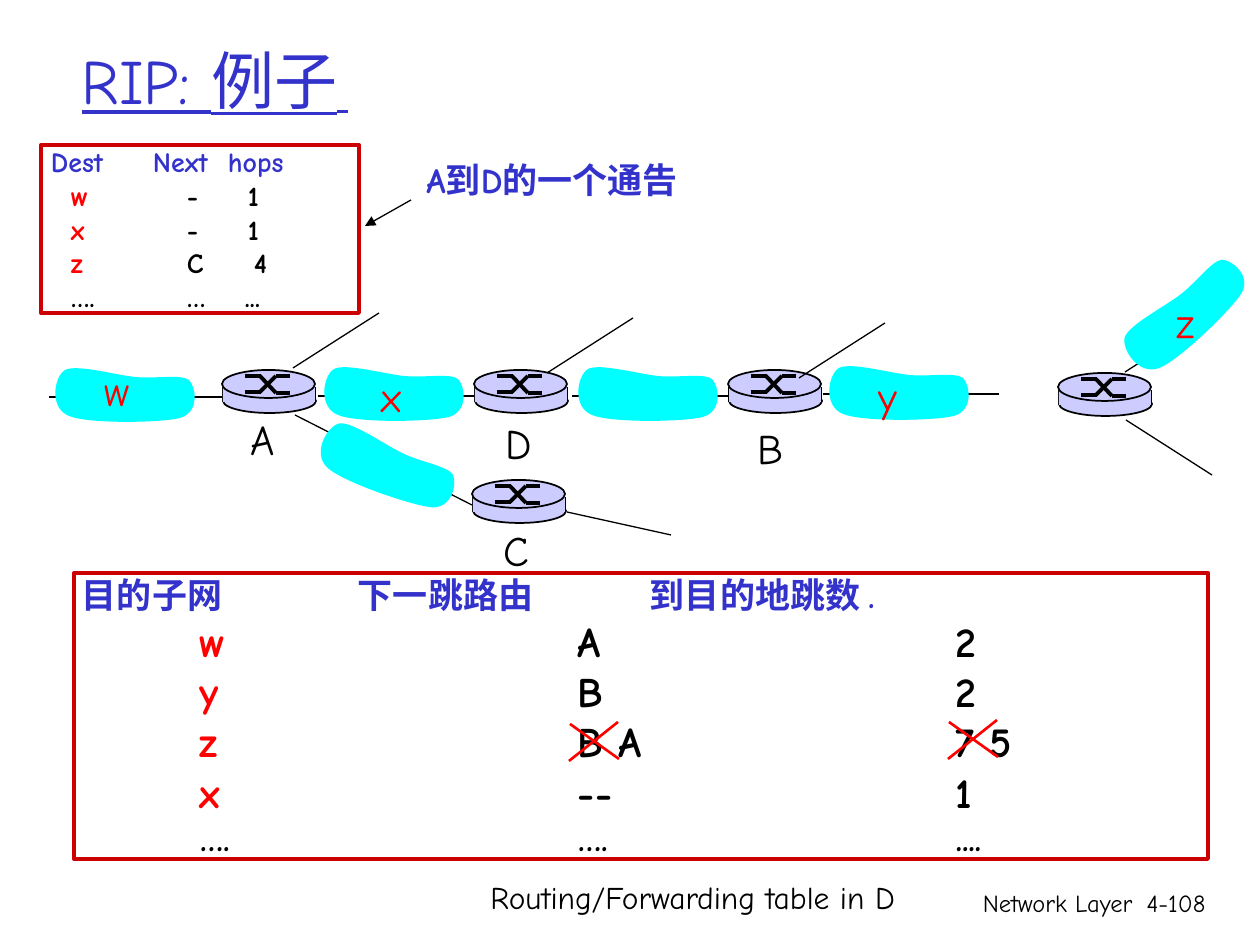
from dataclasses import dataclass

from pptx import Presentation
from pptx.dml.color import RGBColor
from pptx.enum.shapes import MSO_CONNECTOR, MSO_SHAPE
from pptx.enum.text import MSO_ANCHOR, MSO_AUTO_SIZE, PP_ALIGN
from pptx.oxml.ns import qn
from pptx.oxml.xmlchemy import OxmlElement
from pptx.util import Pt

PX = 914400 / 126
STRAIGHT = MSO_CONNECTOR.STRAIGHT
RECTANGLE, OVAL = MSO_SHAPE.RECTANGLE, MSO_SHAPE.OVAL
LEFT, RIGHT = PP_ALIGN.LEFT, PP_ALIGN.RIGHT
TOP, MIDDLE = MSO_ANCHOR.TOP, MSO_ANCHOR.MIDDLE
NO_AUTOFIT, GROW = MSO_AUTO_SIZE.NONE, MSO_AUTO_SIZE.SHAPE_TO_FIT_TEXT

CLOUD_POINTS = [
    (86, 13),
    (66, 11), (28, 0), (16, 6),
    (5, 13), (0, 44), (20, 52),
    (39, 60), (111, 59), (131, 54),
    (151, 48), (147, 23), (140, 16),
    (132, 10), (106, 15), (86, 13),
]

SWITCH_STROKES = [
    (23, 6, 39, 6), (54, 23, 68, 23), (38, 6, 54, 23),
    (23, 22, 39, 22), (54, 6, 68, 6), (38, 22, 54, 6),
]


@dataclass(frozen=True)
class Theme:
    font: str = "Comic Neue"
    ink: str = "000000"
    blue: str = "3333CC"
    red: str = "FF0000"
    frame: str = "CC0000"
    cloud: str = "00FFFF"
    router: str = "CCCCFF"
    title: int = 36
    title_tail: int = 28
    large: int = 24
    medium: int = 20
    caption: int = 18
    small: int = 16
    footer: int = 14


def px(value):
    return round(value * PX)


def box(*lengths):
    return [px(length) for length in lengths]


class SlideBuilder:
    def __init__(self, slide, theme):
        self.slide = slide
        self.shapes = slide.shapes
        self.theme = theme

    def style(self, font, size, color, bold=False):
        font.name = self.theme.font
        font.size = Pt(size)
        font.bold = bold
        font.color.rgb = RGBColor.from_string(color)

    def title(self, words, x, y, w, h):
        heading = self.shapes.title
        heading.left, heading.top, heading.width, heading.height = box(x, y, w, h)
        frame = heading.text_frame
        frame.auto_size = NO_AUTOFIT
        frame.vertical_anchor = MIDDLE
        paragraph = frame.paragraphs[0]
        paragraph.alignment = LEFT
        self.style(paragraph.font, self.theme.title, self.theme.blue)
        paragraph.font.underline = True
        paragraph.add_run().text = words
        tail = paragraph.add_run()
        tail.text = " "
        tail.font.size = Pt(self.theme.title_tail)

    def text(self, words, x, y, w, h, size, color, align=LEFT, bold=False):
        frame = self.shapes.add_textbox(*box(x, y, w, h)).text_frame
        frame.word_wrap = align == RIGHT
        frame.auto_size = NO_AUTOFIT if align == RIGHT else GROW
        paragraph = frame.paragraphs[0]
        paragraph.text = words
        paragraph.alignment = align
        self.style(paragraph.font, size, color, bold)

    def shape(self, kind, x, y, w, h, fill=None, line=None, width=1):
        shape = self.shapes.add_shape(kind, *box(x, y, w, h))
        self.paint(shape, fill, line, width)
        return shape

    def paint(self, shape, fill, line=None, width=1):
        shape.shadow.inherit = False
        for part, color in ((shape.fill, fill), (shape.line.fill, line)):
            if color:
                part.solid()
                part.fore_color.rgb = RGBColor.from_string(color)
            else:
                part.background()
        if line:
            shape.line.width = Pt(width)

    def line(self, x1, y1, x2, y2, width=1, color=None, arrow=False):
        connector = self.shapes.add_connector(STRAIGHT, *box(x1, y1, x2, y2))
        connector.line.color.rgb = RGBColor.from_string(color or self.theme.ink)
        connector.line.width = Pt(width)
        properties = connector.element.spPr
        if arrow:
            head = OxmlElement("a:tailEnd")
            head.set("type", "triangle")
            properties.find(qn("a:ln")).append(head)
        properties.append(OxmlElement("a:effectLst"))

    def cloud(self, x, y, rotation=0):
        points = [(x + dx, y + dy) for dx, dy in CLOUD_POINTS]
        outline = self.shapes.build_freeform(*points[0], scale=PX)
        outline.add_line_segments(points[1:], close=True)
        cloud = outline.convert_to_shape()
        segments = list(cloud.element.iter(qn("a:lnTo")))
        for start in range(0, len(segments), 3):
            curve = OxmlElement("a:cubicBezTo")
            segments[start].addprevious(curve)
            for segment in segments[start:start + 3]:
                curve.append(segment[0])
                segment.getparent().remove(segment)
        self.paint(cloud, self.theme.cloud)
        cloud.rotation = rotation

    def router(self, x, y):
        fill, ink = self.theme.router, self.theme.ink
        self.shape(OVAL, x + 1, y + 19, 93, 24, fill, ink)
        for side in (x + 1, x + 93):
            self.line(side, y + 17, side, y + 32)
        self.shape(RECTANGLE, x + 1, y + 17, 92, 15, fill)
        self.shape(OVAL, x, y, 93, 28, fill, ink)
        for x1, y1, x2, y2 in SWITCH_STROKES:
            self.line(x + x1, y + y1, x + x2, y + y2, 2.25)

    def routing_table(self, x, y, w, h, rows):
        frame = self.shape(RECTANGLE, x, y, w, h, line=self.theme.frame, width=2.25).text_frame
        frame.word_wrap = True
        frame.auto_size = GROW
        frame.vertical_anchor = TOP
        frame.margin_left = frame.margin_right = frame.margin_top = frame.margin_bottom = 0
        for index, (cells, stops, size, colors) in enumerate(rows):
            paragraph = frame.add_paragraph() if index else frame.paragraphs[0]
            paragraph.alignment = LEFT
            tabs = OxmlElement("a:tabLst")
            for stop in stops:
                tab = OxmlElement("a:tab")
                tab.set("pos", str(px(stop)))
                tab.set("algn", "l")
                tabs.append(tab)
            paragraph._p.get_or_add_pPr().append(tabs)
            self.style(paragraph.font, size, colors[-1], bold=True)
            for cell, color in zip(cells, colors):
                run = paragraph.add_run()
                run.text = "\t" + cell
                if color != colors[-1]:
                    run.font.color.rgb = RGBColor.from_string(color)


def main():
    deck = Presentation()
    deck.slide_width, deck.slide_height = box(1260, 945)
    theme = Theme()
    page = SlideBuilder(deck.slides.add_slide(deck.slide_layouts[5]), theme)
    heading, entry, plain = [theme.blue] * 3, [theme.red, theme.ink, theme.ink], [theme.ink] * 3

    page.text("Network Layer", 746, 882, 399, 63, theme.footer, theme.ink, RIGHT)
    page.text("4-108", 1125, 882, 93, 63, theme.footer, theme.ink, RIGHT)
    page.title("RIP: 例子", 69, 0, 1071, 158)

    columns = (126, 504, 882)
    d_entries = [("w", "A", "2"), ("y", "B", "2"), ("z", "B A", "7 5"), ("x", "--", "1")]
    page.routing_table(74, 573, 1134, 286, [
        (("目的子网", "下一跳路由", "到目的地跳数 ."), (8, 284, 576), theme.medium, heading),
        *((cells, columns, theme.large, entry) for cells in d_entries),
        (("….", "….", "...."), columns, theme.medium, plain),
    ])
    page.text("Routing/Forwarding table in D", 478, 872, 435, 50, theme.caption, theme.ink)

    for x, y in ((49, 397), (318, 396), (572, 396), (823, 394)):
        page.line(x, y, x + 176, y)
    for x, y in ((474, 370), (222, 370), (472, 480), (728, 370), (1058, 373)):
        page.router(x, y)
    for x, y in ((293, 368), (547, 373), (799, 378), (1125, 372)):
        page.line(x, y, x + 86, y - 55, 0.75)
    for branch in ((1126, 420, 1212, 475), (295, 415, 472, 505), (567, 512, 671, 535)):
        page.line(*branch, 0.75)
    for x, y in ((318, 363), (49, 364), (572, 363), (823, 362)):
        page.cloud(x, y)
    page.cloud(312, 436, 19.7)
    page.cloud(1109, 284, 316.8)

    for subnet, x, y, w in (("w", 92, 358, 50), ("x", 369, 364, 45),
                            ("y", 866, 364, 44), ("z", 1164, 290, 43)):
        page.text(subnet, x, y, w, 63, theme.large, theme.red)
    for router, x, y, w in (("A", 238, 407, 49), ("C", 491, 518, 50),
                            ("D", 493, 411, 52), ("B", 745, 416, 50)):
        page.text(router, x, y, w, 63, theme.large, theme.ink)

    a_entries = [(("w", "-", "1"), 207), (("x", "-", "1"), 207), (("z", "C", "4"), 213)]
    page.routing_table(41, 145, 318, 168, [
        (("Dest", "Next", "hops"), (10, 112, 187), theme.small, heading),
        *((cells, (30, 146, hops), theme.small, entry) for cells, hops in a_entries),
        (("….", "…", "..."), (30, 146, 204), theme.small, plain),
    ])
    page.text("A到D的一个通告", 414, 152, 301, 55, theme.medium, theme.blue, bold=True)
    page.line(411, 200, 365, 226, 0.75, arrow=True)

    for x, y in ((569, 722), (948, 720)):
        page.line(x + 1, y + 2, x + 50, y + 37, 1.5, theme.red)
        page.line(x, y + 39, x + 49, y, 1.5, theme.red)

    deck.save("out.pptx")


if __name__ == "__main__":
    main()
